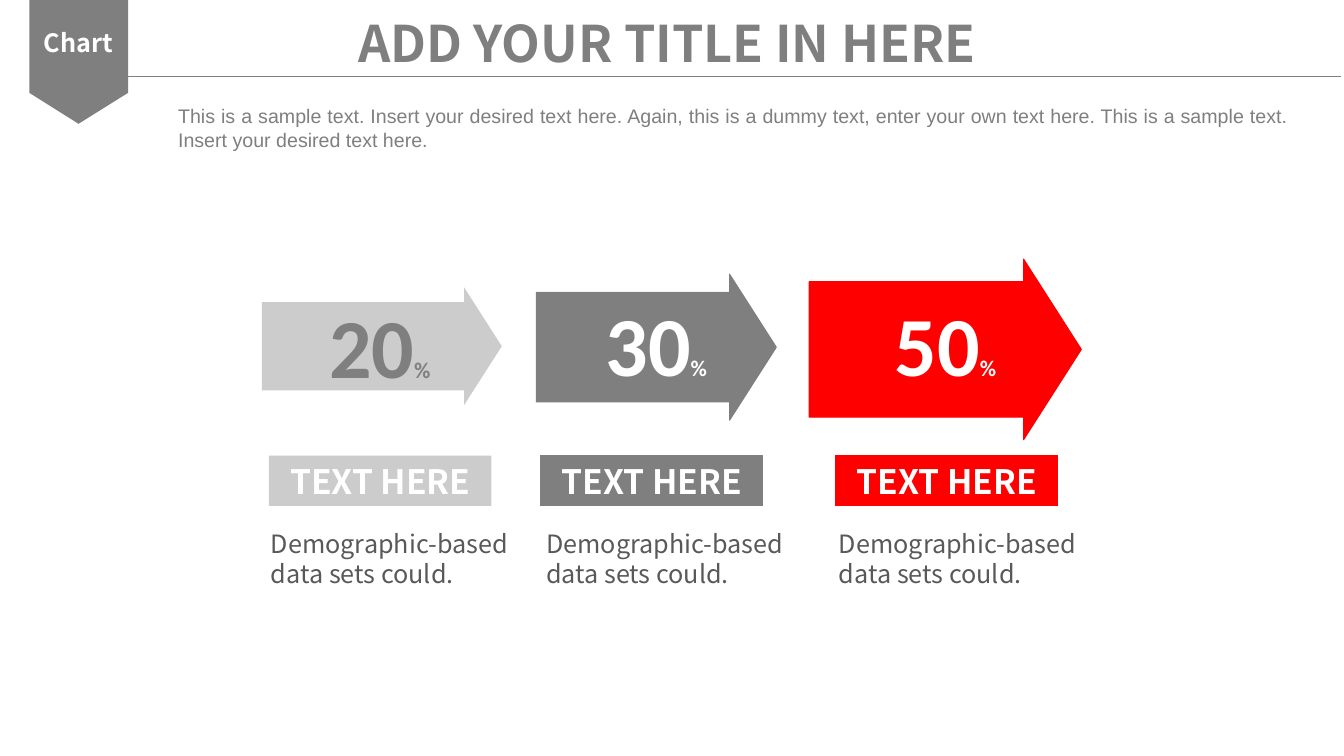
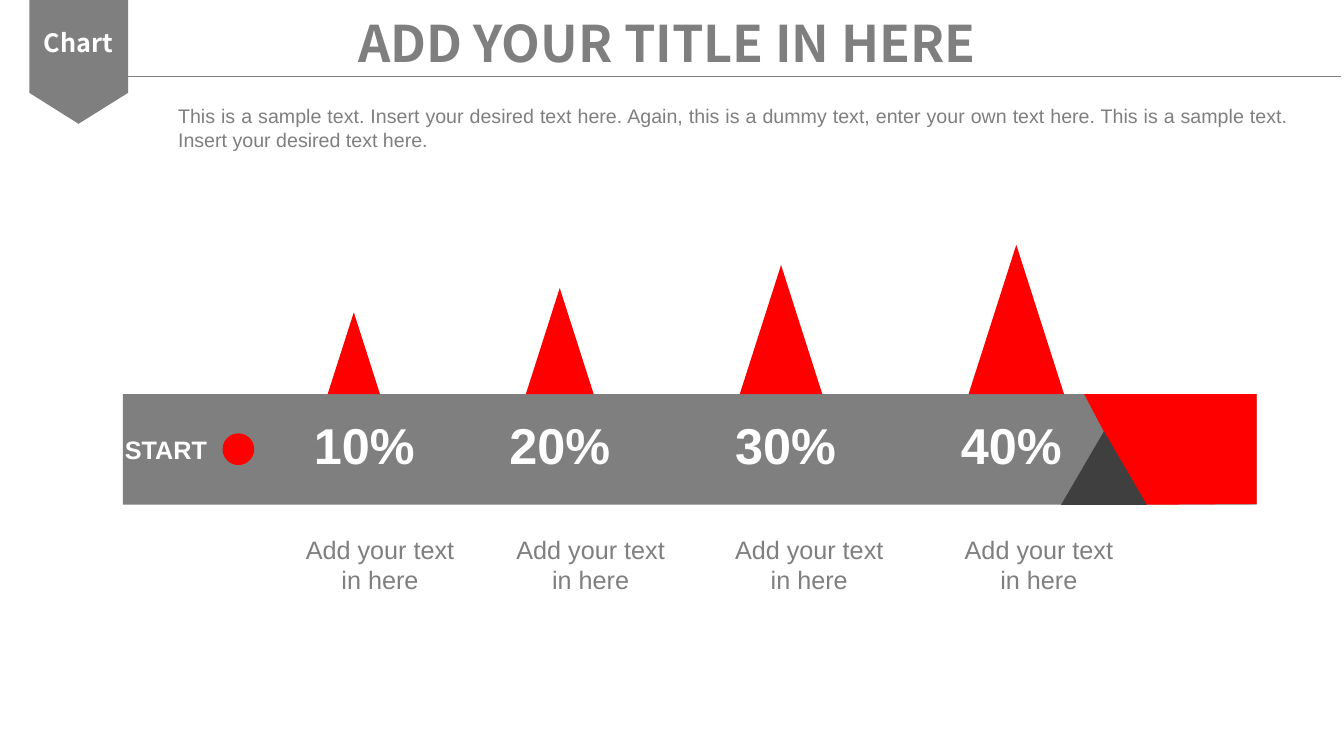
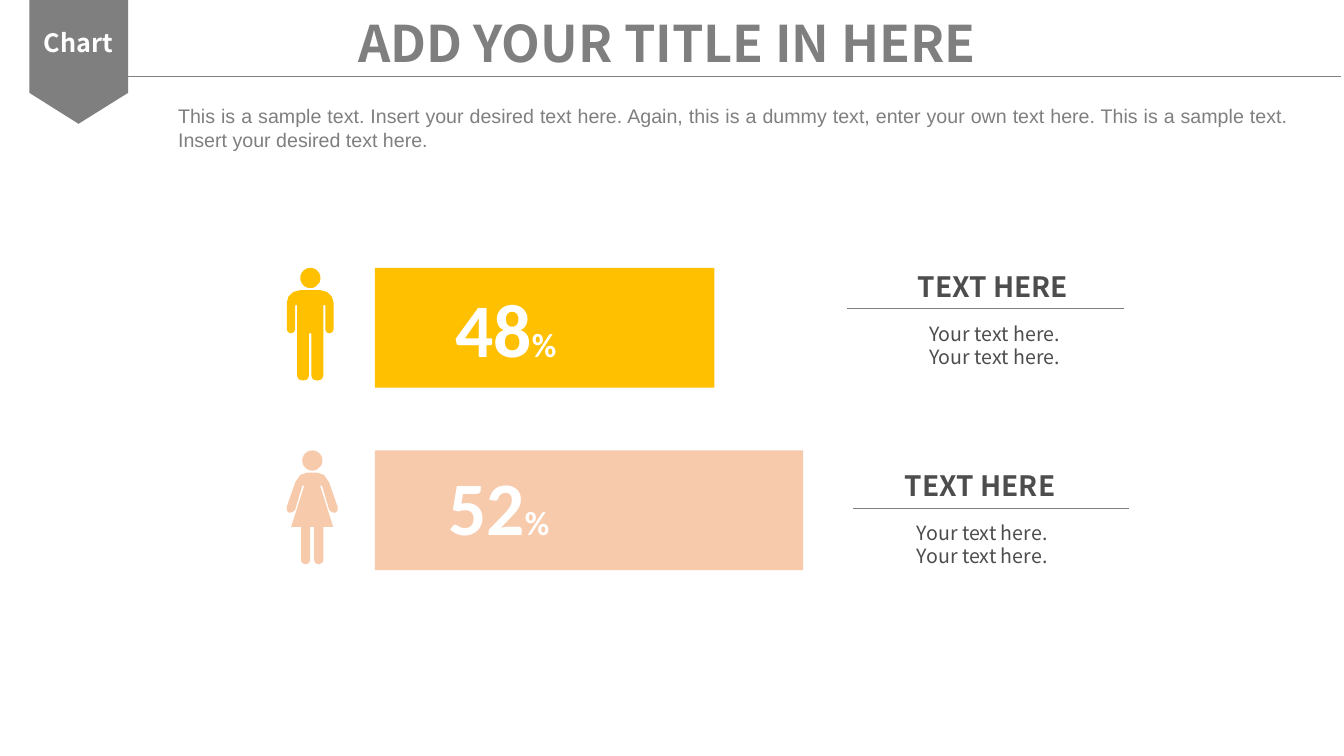
"""Build three infographic slides: growing arrows, a milestone bar and a two-group comparison."""
import dataclasses

import lxml.etree
import pptx
import pptx.dml.color
import pptx.enum.shapes
import pptx.enum.text
import pptx.oxml.ns
import pptx.util

Cm = pptx.util.Cm
Color = pptx.dml.color.RGBColor
Preset = pptx.enum.shapes.MSO_SHAPE
Align = pptx.enum.text.PP_ALIGN
Anchor = pptx.enum.text.MSO_ANCHOR
AutoSize = pptx.enum.text.MSO_AUTO_SIZE


@dataclasses.dataclass(frozen=True)
class Theme:
    gray: Color = Color.from_string("7F7F7F")
    light: Color = Color.from_string("CCCCCC")
    dark: Color = Color.from_string("3F3F3F")
    red: Color = Color.from_string("FE0000")
    amber: Color = Color.from_string("FFC000")
    peach: Color = Color.from_string("F7CAAC")
    white: Color = Color.from_string("FFFFFF")
    body: Color = Color.from_string("595959")
    detail: Color = Color.from_string("4D4D4D")
    sans: str = "Noto Sans CJK SC"
    plain: str = "Arial"
    figure: str = "Calibri"
    title: int = 36
    label: int = 24
    heading: int = 20
    text: int = 18
    small: int = 14
    sign: int = 16
    share: int = 60
    group_share: int = 54
    hairline: float = 0.5
    border: float = 0.75


theme = Theme()


def draw(slide, geometry, color, box=None, border=None):
    if box:
        shape = slide.shapes.add_shape(geometry, *map(Cm, box))
    else:
        points = [(Cm(x), Cm(y)) for x, y in geometry]
        builder = slide.shapes.build_freeform(*points[0])
        builder.add_line_segments(points[1:], close=True)
        shape = builder.convert_to_shape()
    shape.shadow.inherit = False
    shape.fill.solid()
    shape.fill.fore_color.rgb = color
    if border:
        shape.line.color.rgb = color
        shape.line.width = pptx.util.Pt(border)
    else:
        shape.line.fill.background()
    return shape


def write(shape, paragraphs, font, color, bold=False, align=Align.LEFT,
          anchor=Anchor.TOP, wrap=True, grow=True, inset=0.13):
    frame = shape.text_frame
    frame.word_wrap = wrap
    frame.auto_size = AutoSize.SHAPE_TO_FIT_TEXT if grow else AutoSize.NONE
    frame.vertical_anchor = anchor
    frame.margin_left = frame.margin_right = Cm(0.25)
    frame.margin_top = frame.margin_bottom = Cm(inset)
    for index, runs in enumerate(paragraphs):
        paragraph = frame.add_paragraph() if index else frame.paragraphs[0]
        paragraph.alignment = align
        for text, size in runs:
            run = paragraph.add_run()
            run.text = text
            run.font.name = font
            run.font.size = pptx.util.Pt(size)
            run.font.bold = bold
            run.font.color.rgb = color


presentation = pptx.Presentation()
presentation.slide_width = Cm(33.88)
presentation.slide_height = Cm(19.05)

ribbon = [(0.74, 0), (3.23, 0), (3.23, 2.34), (1.98, 3.12), (0.74, 2.34)]
intro = ("This is a sample text. Insert your desired text here. Again, this is a dummy text, "
         "enter your own text here. This is a sample text. Insert your desired text here.")
for number in range(3):
    slide = presentation.slides.add_slide(presentation.slide_layouts[6])
    draw(slide, ribbon, theme.gray)
    box = slide.shapes.add_textbox(Cm(0.84), Cm(0.56), Cm(2.26), Cm(1.02))
    write(box, [[("Chart", theme.text)]], theme.sans, theme.white, True, Align.CENTER, wrap=False)
    box = slide.shapes.add_textbox(Cm(4.62), Cm(0.18), Cm(24.38), Cm(1.78))
    write(box, [[("ADD YOUR TITLE IN HERE", theme.title)]], theme.sans, theme.gray, True, Align.CENTER)
    slide.shapes.add_connector(pptx.enum.shapes.MSO_CONNECTOR.STRAIGHT,
                               Cm(3.18), Cm(1.93), Cm(33.81), Cm(1.93))
    box = slide.shapes.add_textbox(Cm(4.24), Cm(2.62), Cm(28.5), Cm(2.69))
    write(box, [[(intro, theme.small)]], theme.plain, theme.gray, align=Align.JUSTIFY,
          grow=False, inset=0)

arrow_slide, milestone_slide, group_slide = presentation.slides

arrows = [
    ("20", (6.6, 7.24, 6.05, 2.97), theme.light, None, theme.gray, (7.55, 7.29), 6.78, 6.58),
    ("30", (13.52, 6.91, 6.05, 3.68), theme.gray, theme.border, theme.white, (14.52, 7.24), 13.62, 13.52),
    ("50", (20.4, 6.53, 6.86, 4.55), theme.red, theme.border, theme.white, (21.81, 7.24), 21.06, 20.9),
]
for share, arrow_box, color, border, share_color, share_at, label_left, caption_left in arrows:
    arrow = draw(arrow_slide, Preset.RIGHT_ARROW, color, arrow_box, border)
    arrow.adjustments[0] = 0.75
    arrow.adjustments[1] = 0.32
    box = arrow_slide.shapes.add_textbox(*map(Cm, share_at), Cm(4.05), Cm(2.79))
    write(box, [[(share, theme.share), ("%", theme.sign)]], theme.figure, share_color, True,
          Align.CENTER)
    label = draw(arrow_slide, Preset.RECTANGLE, color, (label_left, 11.48, 5.61, 1.27), border)
    write(label, [[("TEXT HERE", theme.label)]], theme.sans, theme.white, True, Align.CENTER)
    box = arrow_slide.shapes.add_textbox(Cm(caption_left), Cm(13.18), Cm(6.88), Cm(1.78))
    write(box, [[("Demographic-based data sets could.", theme.text)]], theme.sans, theme.body)

bar_top, bar_bottom, bar_right = 9.93, 12.72, 31.68
draw(milestone_slide, Preset.RECTANGLE, theme.gray, (3.1, bar_top, bar_right - 3.1, bar_bottom - bar_top))
draw(milestone_slide, [(27.33, bar_top), (bar_right, bar_top), (bar_right, 12.7), (28.8, bar_bottom)],
     theme.red)
draw(milestone_slide, Preset.ISOSCELES_TRIANGLE, theme.dark, (26.75, 10.87, 2.16, 1.85))
draw(milestone_slide, Preset.OVAL, theme.red, (5.61, 10.92, 0.8, 0.8))
box = milestone_slide.shapes.add_textbox(Cm(2.9), Cm(10.8), Cm(3.23), Cm(1.07))
write(box, [[("START", theme.text)]], theme.plain, theme.white, True, anchor=Anchor.MIDDLE, grow=False)

milestones = [
    ("10%", 8.92, 2.06, 7.57, 7.14),
    ("20%", 14.11, 2.67, 12.5, 12.45),
    ("30%", 19.69, 3.25, 18.19, 17.96),
    ("40%", 25.62, 3.76, 23.88, 23.75),
]
for share, center, height, share_left, caption_left in milestones:
    width = 0.64 * height
    draw(milestone_slide, Preset.ISOSCELES_TRIANGLE, theme.red,
         (center - width / 2, bar_top - height, width, height))
    box = milestone_slide.shapes.add_textbox(Cm(share_left), Cm(10.44), Cm(3.23), Cm(1.5))
    write(box, [[(share, theme.title)]], theme.plain, theme.white, True, Align.CENTER,
          Anchor.MIDDLE, grow=False)
    box = milestone_slide.shapes.add_textbox(Cm(caption_left), Cm(12.73), Cm(4.88), Cm(3))
    write(box, [[("Add your text in here", theme.text)]], theme.plain, theme.gray,
          align=Align.CENTER, anchor=Anchor.MIDDLE, grow=False)

man_half = [
    (0, 0.56), (0.25, 0.56), (0.43, 0.61), (0.55, 0.73), (0.59, 0.89), (0.59, 1.55), (0.56, 1.62),
    (0.48, 1.65), (0.41, 1.62), (0.38, 1.55), (0.38, 0.94), (0.33, 0.94), (0.33, 2.72), (0.29, 2.81),
    (0.18, 2.84), (0.07, 2.81), (0.03, 2.72), (0.03, 1.65),
]
woman_half = [
    (0, 0.56), (0.13, 0.56), (0.3, 0.62), (0.43, 0.81), (0.64, 1.42), (0.64, 1.52), (0.58, 1.57),
    (0.5, 1.56), (0.43, 1.5), (0.25, 0.89), (0.2, 0.89), (0.53, 1.93), (0.28, 1.93), (0.28, 2.77),
    (0.25, 2.84), (0.16, 2.87), (0.08, 2.84), (0.05, 2.77), (0.05, 1.93),
]
groups = [
    ("48", theme.amber, man_half, 7.82, 6.75, 8.56, (11.23, 6.97), (22.88, 6.66), (21.36, 7.78)),
    ("52", theme.peach, woman_half, 7.87, 11.35, 10.8, (11.05, 11.46), (22.56, 11.68), (21.5, 12.82)),
]
for share, color, half, center, top, width, share_at, heading_at, rule_at in groups:
    draw(group_slide, Preset.RECTANGLE, color, (9.45, top, width, 3.02))
    draw(group_slide, Preset.OVAL, color, (center - 0.25, top, 0.51, 0.51))
    body = [(center + x, top + y) for x, y in half]
    body += [(center - x, top + y) for x, y in reversed(half[1:])]
    draw(group_slide, body, color)
    box = group_slide.shapes.add_textbox(*map(Cm, share_at), Cm(4.05), Cm(2.54))
    write(box, [[(share, theme.group_share), ("%", theme.label)]], theme.figure, theme.white, True)
    left, heading_top = heading_at
    box = group_slide.shapes.add_textbox(Cm(left), Cm(heading_top), Cm(4.57), Cm(1.12))
    write(box, [[("TEXT HERE", theme.heading)]], theme.sans, theme.detail, True)
    box = group_slide.shapes.add_textbox(Cm(left + 0.3), Cm(heading_top + 1.31), Cm(4.57), Cm(1.45))
    write(box, [[("Your text here.", theme.small)]] * 2, theme.sans, theme.detail)
    rule_left, rule_top = rule_at
    group_slide.shapes.add_connector(pptx.enum.shapes.MSO_CONNECTOR.STRAIGHT, Cm(rule_left),
                                     Cm(rule_top), Cm(rule_left + 6.97), Cm(rule_top))

for slide in presentation.slides:
    for shape in slide.shapes:
        if shape.shape_type == pptx.enum.shapes.MSO_SHAPE_TYPE.LINE:
            shape.line.color.rgb = theme.gray
            shape.line.width = pptx.util.Pt(theme.hairline)
            properties = shape.element.find(pptx.oxml.ns.qn("p:spPr"))
            lxml.etree.SubElement(properties, pptx.oxml.ns.qn("a:effectLst"))

presentation.save("out.pptx")
